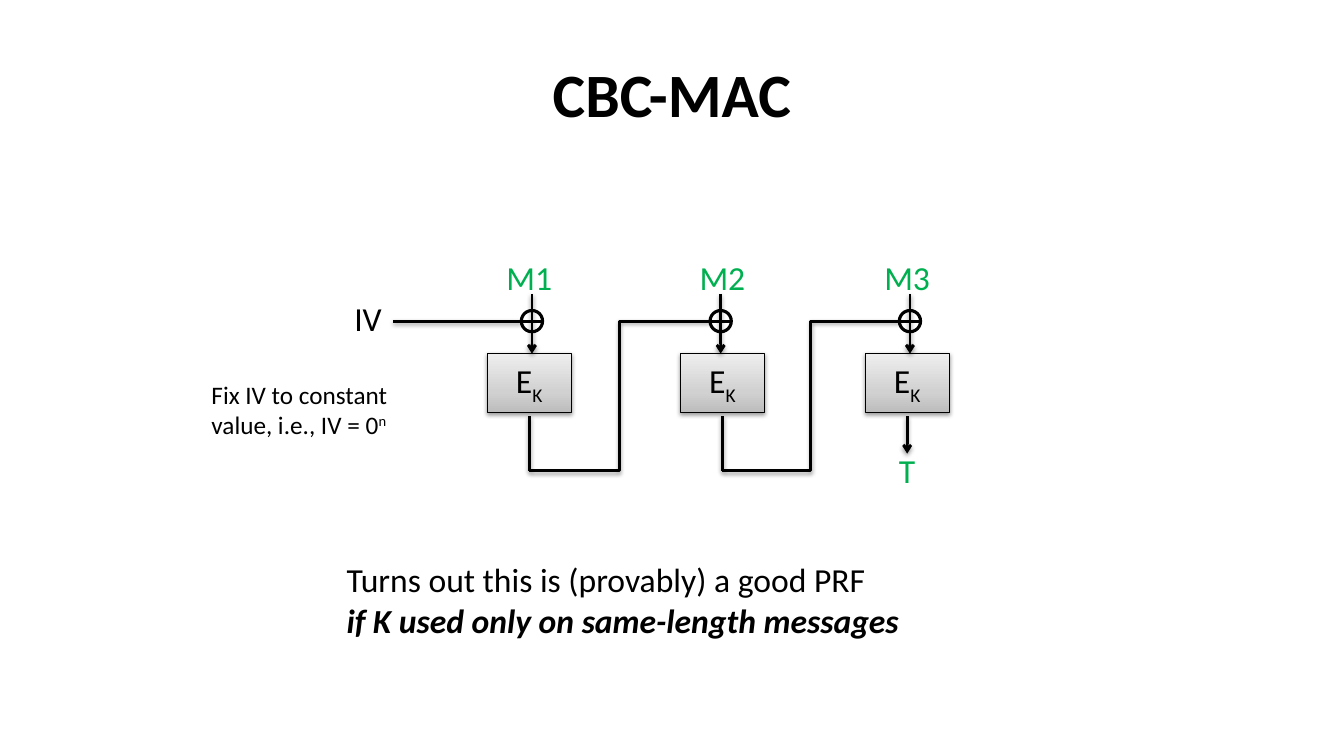
"""Build a slide that shows the CBC-MAC chain of three block cipher calls."""
from lxml.etree import SubElement
from pptx import Presentation
from pptx.dml.color import RGBColor
from pptx.enum.shapes import MSO_CONNECTOR, MSO_SHAPE
from pptx.enum.text import MSO_ANCHOR, MSO_AUTO_SIZE, PP_ALIGN
from pptx.oxml.ns import qn
from pptx.util import Pt

BLACK = RGBColor(0, 0, 0)
GREEN = RGBColor(0x00, 0xB0, 0x50)
GRADIENT = [
    (0, RGBColor(0xBD, 0xBD, 0xBD)),
    (35, RGBColor(0xD1, 0xD1, 0xD1)),
    (100, RGBColor(0xEE, 0xEE, 0xEE)),
]
FONT = "Calibri"

TITLE = "CBC-MAC"
STAGES = [("M1", 378, 380), ("M2", 516, 514.8), ("M3", 648, 650)]
CIPHER = [("E", 0), ("K", -25)]
CLAIM = [[("Turns out this is (provably) a good PRF", 0)],
         [("if K used only on same-length messages", 0)]]
IV_NOTE = [[("Fix IV to constant", 0)],
           [("value, i.e., IV = 0", 0), ("n", 30)]]

BOX_TOP, BOX_WIDTH, BOX_HEIGHT = 252.6, 60, 42
LABEL_TOP, LABEL_WIDTH, LABEL_HEIGHT = 180, 48, 36
INPUT_TOP, XOR_Y, XOR_SIZE = 210, 229.4, 15.2
OUTPUT_TOP, TAG_TOP, LOOP_Y = 297.4, 324, 336.2
IV_LINE_LEFT = 280.8


def add_shadow(item):
    properties = item._element.spPr
    for old in properties.findall(qn("a:effectLst")):
        properties.remove(old)
    effects = SubElement(properties, qn("a:effectLst"))
    shadow = SubElement(effects, qn("a:outerShdw"), blurRad="40000", dist="20000",
                        dir="5400000", rotWithShape="0")
    color = SubElement(shadow, qn("a:srgbClr"), val=str(BLACK))
    SubElement(color, qn("a:alpha"), val="38000")


def write(frame, lines, size=24, color=BLACK, align=PP_ALIGN.LEFT):
    for index, spans in enumerate(lines):
        para = frame.paragraphs[0] if index == 0 else frame.add_paragraph()
        para.alignment = align
        para.font.name = FONT
        para.font.size = Pt(size)
        para.font.color.rgb = color
        for text, baseline in spans:
            span = para.add_run()
            span.text = text
            if baseline:
                span._r.get_or_add_rPr().set("baseline", str(baseline * 1000))


def add_label(left, top, width, height, lines, **style):
    box = page.shapes.add_textbox(Pt(left), Pt(top), Pt(width), Pt(height))
    box.text_frame.word_wrap = False
    box.text_frame.auto_size = MSO_AUTO_SIZE.SHAPE_TO_FIT_TEXT
    write(box.text_frame, lines, **style)
    return box


def add_line(start, end, kind=MSO_CONNECTOR.STRAIGHT, width=2, arrow=False, shadow=True):
    line = page.shapes.add_connector(kind, *map(Pt, start + end))
    line.line.color.rgb = BLACK
    line.line.width = Pt(width)
    if arrow:
        SubElement(line.line._get_or_add_ln(), qn("a:tailEnd"), type="arrow")
    if shadow:
        add_shadow(line)
    else:
        SubElement(line._element.spPr, qn("a:effectLst"))


def add_cipher(center):
    box = page.shapes.add_shape(MSO_SHAPE.RECTANGLE, Pt(center - BOX_WIDTH / 2), Pt(BOX_TOP),
                                Pt(BOX_WIDTH), Pt(BOX_HEIGHT))
    box.fill.gradient()
    box.fill.gradient_angle = 90
    stops = box._element.spPr.find(qn("a:gradFill")).find(qn("a:gsLst"))
    stops.clear()
    for position, color in GRADIENT:
        stop = SubElement(stops, qn("a:gs"), pos=str(position * 1000))
        SubElement(stop, qn("a:srgbClr"), val=str(color))
    box.line.color.rgb = BLACK
    box.line.width = Pt(0.75)
    add_shadow(box)
    box.text_frame.vertical_anchor = MSO_ANCHOR.MIDDLE
    write(box.text_frame, [CIPHER], align=PP_ALIGN.CENTER)


def add_xor(center):
    left = center - XOR_SIZE / 2
    circle = page.shapes.add_shape(MSO_SHAPE.OVAL, Pt(left), Pt(XOR_Y - XOR_SIZE / 2),
                                   Pt(XOR_SIZE), Pt(XOR_SIZE))
    circle.shadow.inherit = False
    circle.fill.background()
    circle.line.color.rgb = BLACK
    circle.line.width = Pt(2.25)
    add_line((left, XOR_Y), (left + XOR_SIZE, XOR_Y), width=2.25, shadow=False)


deck = Presentation()
deck.slide_width, deck.slide_height = Pt(960), Pt(540)
page = deck.slides.add_slide(deck.slide_layouts[5])

title = page.shapes.title
title.left, title.top, title.width, title.height = Pt(48), Pt(21.6), Pt(864), Pt(90)
title.text_frame.vertical_anchor = MSO_ANCHOR.MIDDLE
write(title.text_frame, [[(TITLE, 0)]], size=44, align=PP_ALIGN.CENTER)
title.text_frame.paragraphs[0].font.bold = True

for message, center, xor_x in STAGES:
    add_cipher(center)
    add_label(center - LABEL_WIDTH / 2, LABEL_TOP, LABEL_WIDTH, LABEL_HEIGHT,
              [[(message, 0)]], color=GREEN, align=PP_ALIGN.CENTER)
    add_line((xor_x, INPUT_TOP), (xor_x, BOX_TOP), arrow=True)
    add_xor(xor_x)

add_label(246, 209.6, 34.6, LABEL_HEIGHT, [[("IV", 0)]])
add_line((IV_LINE_LEFT, XOR_Y), (STAGES[0][2] - XOR_SIZE / 2, XOR_Y))

for (_, center, _), (_, _, next_xor) in zip(STAGES, STAGES[1:]):
    add_line((center, OUTPUT_TOP), (center, LOOP_Y))
    add_line((center, LOOP_Y), (next_xor - XOR_SIZE / 2, XOR_Y), kind=MSO_CONNECTOR.ELBOW)

tag_x = STAGES[-1][1]
add_line((tag_x, OUTPUT_TOP), (tag_x, TAG_TOP), arrow=True)
add_label(tag_x - 13.3, 318.2, 26.6, LABEL_HEIGHT, [[("T", 0)]],
          color=GREEN, align=PP_ALIGN.CENTER)

claim = add_label(240.5, 396, 412.6, 65.5, CLAIM)
condition = claim.text_frame.paragraphs[1].font
condition.bold = condition.italic = True
add_label(144, 267.1, 146.2, 51, IV_NOTE, size=18)

deck.save("out.pptx")
